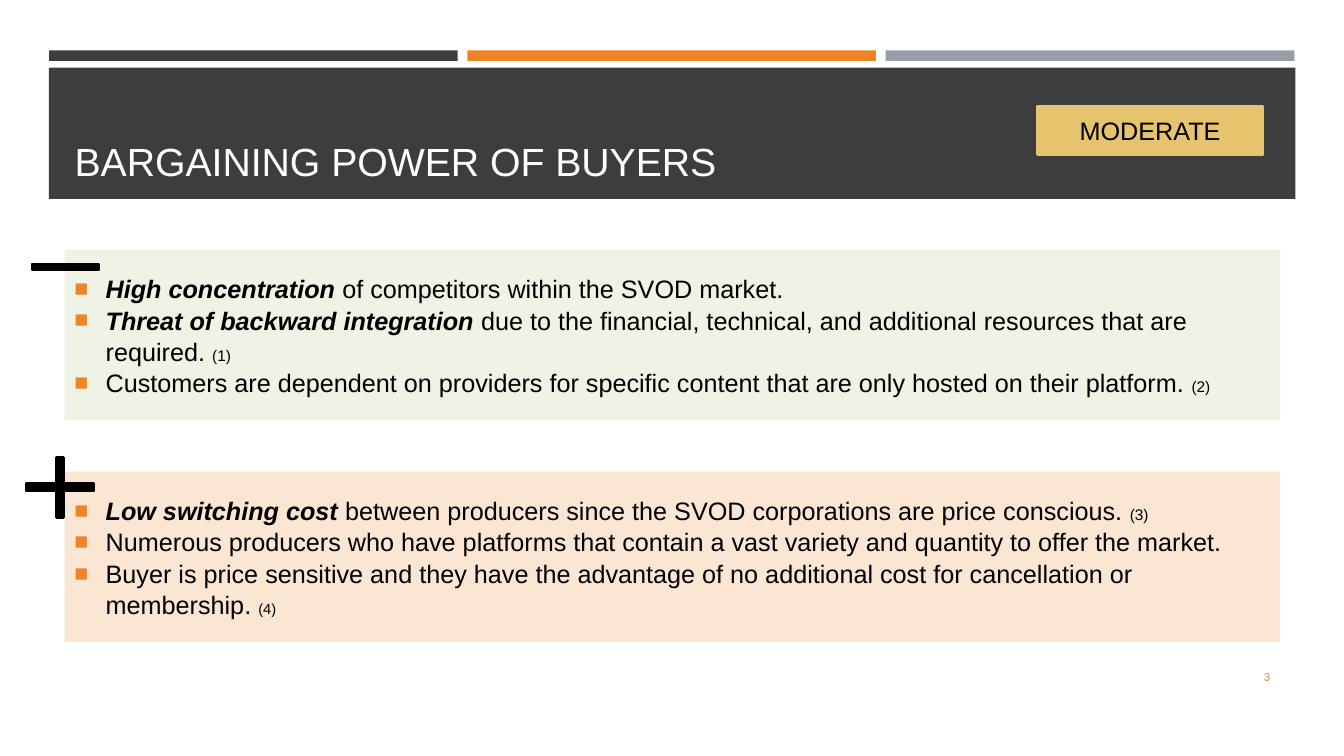
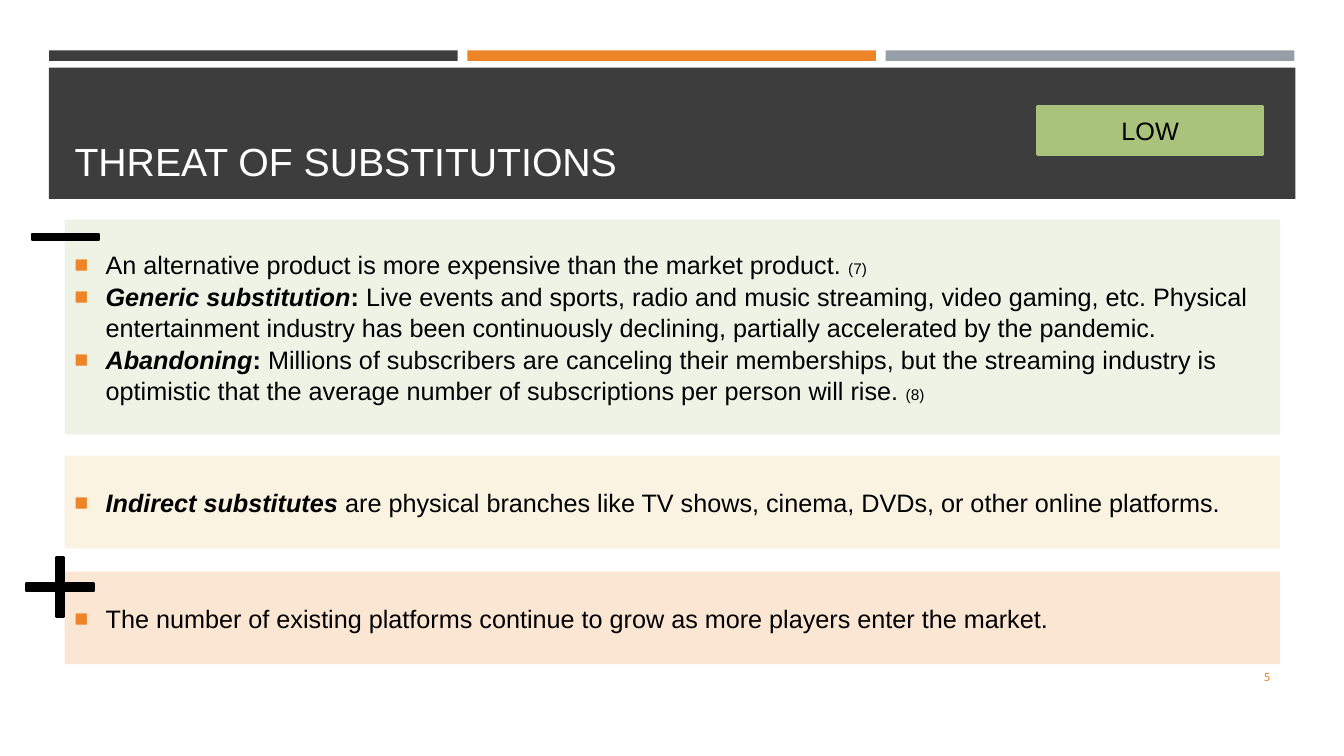
from dataclasses import dataclass
from typing import Optional

from lxml import etree
from pptx import Presentation
from pptx import util as u
from pptx.dml.color import RGBColor
from pptx.enum import shapes, text
from pptx.oxml import ns

COLOURS = {
    "dark": "3D3D3D", "orange": "ED8428", "grey": "969FA7",
    "white": "FFFFFF", "black": "000000",
    "moderate": "E6C46D", "low": "A9C37C",
    "green tint": "EEF3E5", "yellow tint": "FAF3E2", "orange tint": "FBE6D4",
}
WIDTH, HEIGHT = u.Inches(13.33), u.Inches(7.5)
INDENT = u.Inches(0.31)
KIND = shapes.MSO_SHAPE


@dataclass(frozen=True)
class Area:
    """A rectangle in percent of the slide's width and height."""
    left: float
    top: float
    width: float
    height: float

    def lengths(self) -> tuple[int, int, int, int]:
        return (int(WIDTH * self.left / 100), int(HEIGHT * self.top / 100),
                int(WIDTH * self.width / 100), int(HEIGHT * self.height / 100))


@dataclass(frozen=True)
class Span:
    text: str
    bold: bool = False
    italic: bool = False
    size: float = 18


@dataclass(frozen=True)
class Panel:
    top: float
    height: float
    colour: str
    bullets: list[list[Span]]
    mark: Optional[str] = None


@dataclass(frozen=True)
class Force:
    title: str
    rating: str
    number: str
    panels: list[Panel]


def key(words: str) -> Span:
    return Span(words, bold=True, italic=True)


def note(words: str, size: float = 11) -> Span:
    return Span(words, size=size)


# Shared layout
TITLE = Area(4.8, 10.27, 90.45, 14.8)
HEADER = Area(3.63, 8.95, 92.75, 17.35)
BANDS = ["dark", "orange", "grey"]
BAND = Area(3.66, 6.67, 30.4, 1.38)
BAND_STEP = 31.12
BADGE = Area(74.18, 3.87, 22.8, 26.8)
NUMBER = Area(86.63, 86.8, 8.63, 5.33)

# Slide contents
FORCES = [
    Force("BARGAINING POWER OF BUYERS", "MODERATE", "3", [
        Panel(33.07, 22.53, "green tint", [
            [key("High concentration"),
             Span(" of competitors within the SVOD market.")],
            [key("Threat of backward integration "),
             Span("due to the financial, technical, and additional resources "
                  "that are required. "), note("(1)")],
            [Span("Customers are dependent on providers for specific content "
                  "that are only hosted on their platform. "), note("(2)")],
        ], "minus"),
        Panel(62.4, 22.53, "orange tint", [
            [key("Low switching cost "),
             Span("between producers since the SVOD corporations are price "
                  "conscious. "), note("(3)")],
            [Span("Numerous producers who have platforms that contain a vast "
                  "variety and quantity to offer the market.")],
            [Span("Buyer is price sensitive and they have the advantage of no "
                  "additional cost for cancellation or membership. "),
             note("(4)", 10.5)],
        ], "plus"),
    ]),
    Force("THREAT OF SUBSTITUTIONS", "LOW", "5", [
        Panel(29.07, 28.4, "green tint", [
            [Span("An alternative product is more expensive than the market "
                  "product. "), note("(7)")],
            [key("Generic substitution"), Span(":", bold=True),
             Span(" Live events and sports, radio and music streaming, video "
                  "gaming, etc. Physical entertainment industry has been "
                  "continuously declining, partially accelerated by the "
                  "pandemic.")],
            [key("Abandoning"), Span(":", bold=True),
             Span(" Millions of subscribers are canceling their memberships, "
                  "but the streaming industry is optimistic that the average "
                  "number of subscriptions per person will rise. "),
             note("(8)")],
        ], "minus"),
        Panel(60.27, 12.27, "yellow tint", [
            [key("Indirect substitutes "),
             Span("are physical branches like TV shows, cinema, DVDs, or "
                  "other online platforms.")],
        ]),
        Panel(75.6, 12.27, "orange tint", [
            [Span("The number of existing platforms continue to grow as more "
                  "players enter the market.")],
        ], "plus"),
    ]),
]


def colour(name: str) -> RGBColor:
    return RGBColor.from_string(COLOURS[name])


def style(span, size: float, shade: str, font: str = "Arial") -> None:
    span.font.name = font
    span.font.size = u.Pt(size)
    span.font.color.rgb = colour(shade)


def add_block(page, kind, area: Area, shade: str, outlined: bool = False):
    block = page.shapes.add_shape(kind, *area.lengths())
    block.shadow.inherit = False
    block.fill.solid()
    block.fill.fore_color.rgb = colour(shade)
    if outlined:
        block.line.color.rgb = colour(shade)
        block.line.width = u.Pt(1.75)
    else:
        block.line.fill.background()
    return block


def write_line(box, words: str, alignment, size: float, shade: str,
               font: str = "Arial") -> None:
    box.text_frame.text = words
    para = box.text_frame.paragraphs[0]
    para.alignment = alignment
    style(para.runs[0], size, shade, font)


def add_bullet(para) -> None:
    properties = para._p.get_or_add_pPr()
    properties.set("marL", str(INDENT))
    properties.set("indent", str(-INDENT))
    tint = etree.SubElement(properties, ns.qn("a:buClr"))
    etree.SubElement(tint, ns.qn("a:srgbClr"), val=COLOURS["orange"])
    etree.SubElement(properties, ns.qn("a:buSzPct"), val="92000")
    etree.SubElement(properties, ns.qn("a:buFont"), typeface="Arial")
    etree.SubElement(properties, ns.qn("a:buChar"), char="■")


def add_panel(page, panel: Panel) -> None:
    area = Area(TITLE.left, panel.top, TITLE.width, panel.height)
    frame = add_block(page, KIND.RECTANGLE, area, panel.colour).text_frame
    frame.word_wrap = True
    frame.vertical_anchor = text.MSO_ANCHOR.MIDDLE
    for index, spans in enumerate(panel.bullets):
        para = frame.add_paragraph() if index else frame.paragraphs[0]
        add_bullet(para)
        para.alignment = text.PP_ALIGN.LEFT
        para.line_spacing = 1.04
        for span in spans:
            run = para.add_run()
            run.text = span.text
            style(run, span.size, "black")
            run.font.bold, run.font.italic = span.bold, span.italic


def add_mark(page, panel: Panel) -> None:
    if panel.mark == "minus":
        area = Area(1.5, panel.top + 0.6, 6.75, 3.33)
        add_block(page, KIND.MATH_MINUS, area, "black", outlined=True)
    elif panel.mark == "plus":
        area = Area(1.02, panel.top - 3.33, 6.9, 10.8)
        plus = add_block(page, KIND.MATH_PLUS, area, "black", outlined=True)
        plus.adjustments[0] = 0.089


def prepare_layout(layout, page) -> None:
    """Set the title's place and move the header bands into the layout."""
    for holder in list(layout.placeholders):
        if holder.placeholder_format.type == shapes.PP_PLACEHOLDER.TITLE:
            (holder.left, holder.top,
             holder.width, holder.height) = TITLE.lengths()
            holder.text_frame.vertical_anchor = text.MSO_ANCHOR.BOTTOM
        else:
            holder.element.getparent().remove(holder.element)
    blocks = [add_block(page, KIND.RECTANGLE, HEADER, "dark")]
    for column, shade in enumerate(BANDS):
        area = Area(BAND.left + column * BAND_STEP, BAND.top,
                    BAND.width, BAND.height)
        blocks.append(add_block(page, KIND.RECTANGLE, area, shade))
    for block in blocks:
        layout.shapes.element.append(block.element)


def fill_page(page, force: Force) -> None:
    # Title
    title = page.shapes.title
    title.left, title.top, title.width, title.height = TITLE.lengths()
    write_line(title, force.title, text.PP_ALIGN.LEFT, 28, "white")
    title.text_frame.vertical_anchor = text.MSO_ANCHOR.BOTTOM
    title.text_frame.auto_size = text.MSO_AUTO_SIZE.NONE

    # Rating badge
    badge = add_block(page, KIND.MATH_MINUS, BADGE, force.rating.lower(),
                      outlined=True)
    write_line(badge, force.rating, text.PP_ALIGN.CENTER, 18, "black")
    badge.text_frame.vertical_anchor = text.MSO_ANCHOR.MIDDLE

    # Arguments, with their marks on top
    for panel in force.panels:
        add_panel(page, panel)
    for panel in force.panels:
        add_mark(page, panel)

    # Page number
    number = page.shapes.add_textbox(*NUMBER.lengths())
    number.text_frame.word_wrap = True
    number.text_frame.vertical_anchor = text.MSO_ANCHOR.MIDDLE
    write_line(number, force.number, text.PP_ALIGN.RIGHT, 9, "orange",
               "Calibri")


def main() -> None:
    deck = Presentation()
    deck.slide_width, deck.slide_height = WIDTH, HEIGHT
    layout = deck.slide_layouts.get_by_name("Title Only")
    pages = [deck.slides.add_slide(layout) for _ in FORCES]
    prepare_layout(layout, pages[0])
    for page, force in zip(pages, FORCES):
        fill_page(page, force)
    deck.save("out.pptx")


if __name__ == "__main__":
    main()
